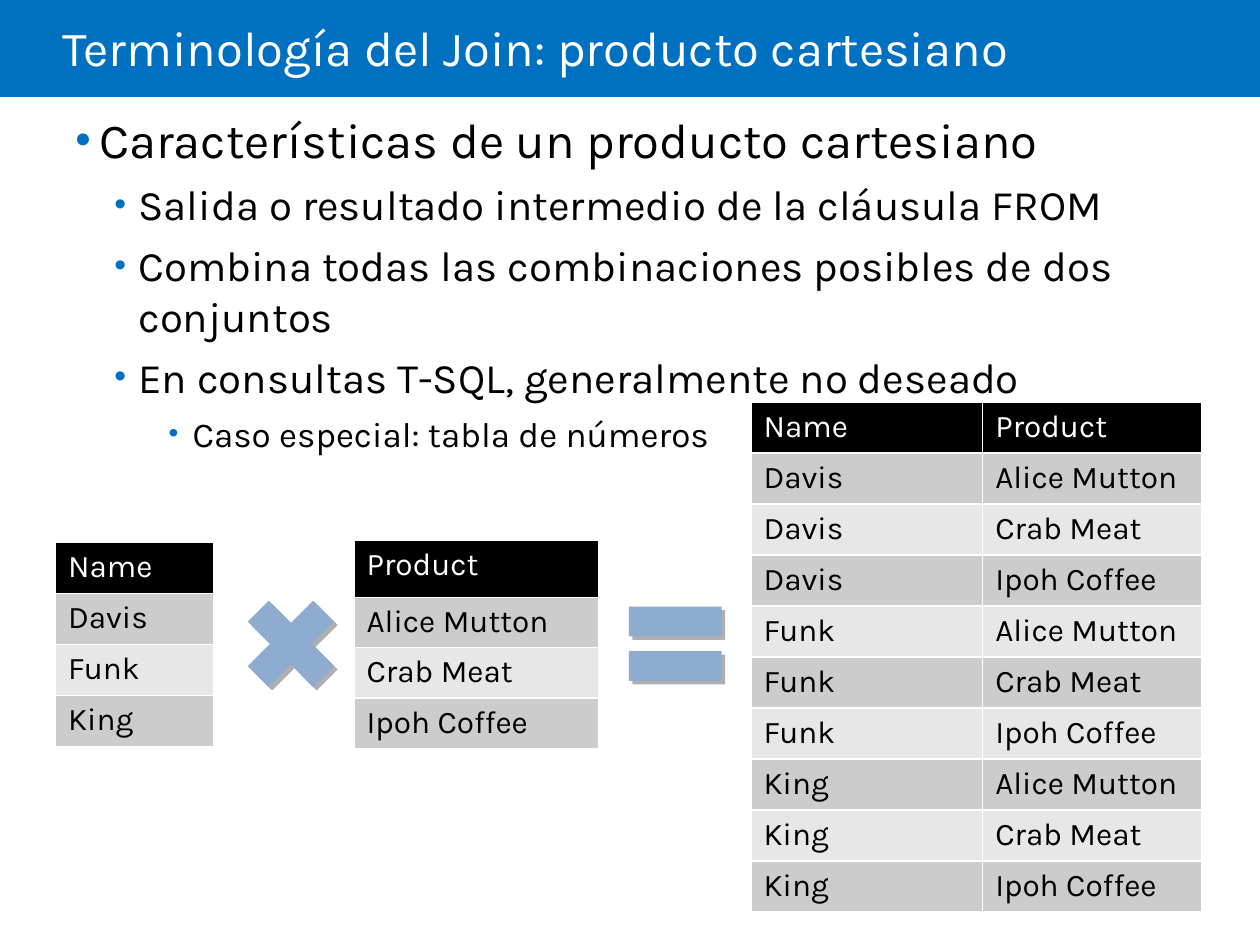
"""Builds a slide that explains the Cartesian product of two tables."""
from itertools import product
from lxml.etree import SubElement as Sub
from pptx import Presentation
from pptx.dml.color import RGBColor
from pptx.enum.shapes import MSO_SHAPE as Kind
from pptx.enum.text import MSO_ANCHOR as Anchor
from pptx.oxml.ns import qn
from pptx.util import Emu, Inches, Pt

WIDE, HIGH = 10, 7.5
FONT, BLUE, SIGN, SHADE = "Karla", "0070C0", "8DACD0", "AFAFAF"
BLACK, WHITE, BANDS = "000000", "FFFFFF", ("CCCCCC", "E7E7E7")

TITLE = "Terminología del Join: producto cartesiano"
POINTS = [
    (0, "Características de un producto cartesiano"),
    (1, "Salida o resultado intermedio de la cláusula FROM"),
    (1, "Combina todas las combinaciones posibles de dos conjuntos"),
    (1, "En consultas T-SQL, generalmente no deseado"),
    (2, "Caso especial: tabla de números"),
]
LEVELS = [(28, 0.19, 90), (24, 0.5, 80), (20, 0.93, 80)]
NAMES = ["Davis", "Funk", "King"]
FOODS = ["Alice Mutton", "Crab Meat", "Ipoh Coffee"]
TABLES = [
    (0.44, 4.3, [1.26], 0.41, 0.405, [("Name",), *zip(NAMES)]),
    (2.81, 4.29, [1.94], 0.45, 0.39, [("Product",), *zip(FOODS)]),
    (5.96, 3.19, [1.84, 1.74], 0.405, 0.405,
     [("Name", "Product"), *product(NAMES, FOODS)]),
]
SIGNS = [(Kind.MATH_MULTIPLY, 1.81), (Kind.MATH_EQUAL, 4.86)]


def rgb(code):
    return RGBColor.from_string(code)


def box(*lens):
    return [Inches(n) for n in lens]


def style(par, size, color):
    for run in par.runs:
        font = run.font
        font.name, font.size, font.bold = FONT, Pt(size), False
        font.color.rgb = rgb(color)


def shape(slide, kind, area, color):
    item = slide.shapes.add_shape(kind, *box(*area))
    item.fill.solid()
    item.fill.fore_color.rgb = rgb(color)
    item.line.fill.background()
    item.shadow.inherit = False
    return item


def bullet(par, left, share):
    props = par._p.get_or_add_pPr()
    props.set("marL", str(Inches(left)))
    props.set("indent", str(Inches(-0.19)))
    Sub(Sub(props, qn("a:buClr")), qn("a:srgbClr"), val=BLUE)
    Sub(props, qn("a:buSzPct"), val=str(share * 1000))
    Sub(props, qn("a:buFont"), typeface="Arial")
    Sub(props, qn("a:buChar"), char="•")


def header(slide):
    shape(slide, Kind.RECTANGLE, (0, 0, WIDE, 0.77), BLUE)
    frame = slide.shapes.add_textbox(*box(0.5, 0, 8.5, 0.81)).text_frame
    frame.word_wrap, frame.margin_left = True, 0
    frame.vertical_anchor = Anchor.MIDDLE
    frame.text = TITLE
    par = frame.paragraphs[0]
    par.line_spacing = 0.85
    style(par, 28, WHITE)


def outline(slide):
    frame = slide.shapes.add_textbox(*box(0.5, 0.82, 8.48, 4.8)).text_frame
    frame.word_wrap = True
    frame.text = "\n".join(text for _, text in POINTS)
    for par, (level, _) in zip(frame.paragraphs, POINTS):
        size, left, share = LEVELS[level]
        par.level, par.space_before = level, Pt(6)
        bullet(par, left, share)
        style(par, size, BLACK)


def table(slide, left, top, cols, head, step, rows):
    high = head + step * (len(rows) - 1)
    area = box(left, top, sum(cols), high)
    grid = slide.shapes.add_table(len(rows), len(cols), *area).table
    for col, wide in zip(grid.columns, cols):
        col.width = Inches(wide)
    for r, row in enumerate(rows):
        grid.rows[r].height = Inches(step if r else head)
        for c, text in enumerate(row):
            cell = grid.cell(r, c)
            cell.text = text
            cell.fill.solid()
            cell.fill.fore_color.rgb = rgb(BANDS[(r - 1) % 2] if r else BLACK)
            style(cell.text_frame.paragraphs[0], 18, BLACK if r else WHITE)


def sign(slide, kind, left):
    item = shape(slide, kind, (left, 4.61, 1, 1), SIGN)
    glow = Sub(item._element.spPr.find(qn("a:effectLst")), qn("a:outerShdw"),
               dist=str(Emu(Pt(2.8))), dir="2700000", rotWithShape="0")
    Sub(glow, qn("a:srgbClr"), val=SHADE)


def main():
    deck = Presentation()
    deck.slide_width, deck.slide_height = box(WIDE, HIGH)
    slide = deck.slides.add_slide(deck.slide_layouts[6])
    header(slide)
    outline(slide)
    for spot in TABLES:
        table(slide, *spot)
    for spot in SIGNS:
        sign(slide, *spot)
    deck.save("out.pptx")


if __name__ == "__main__":
    main()
